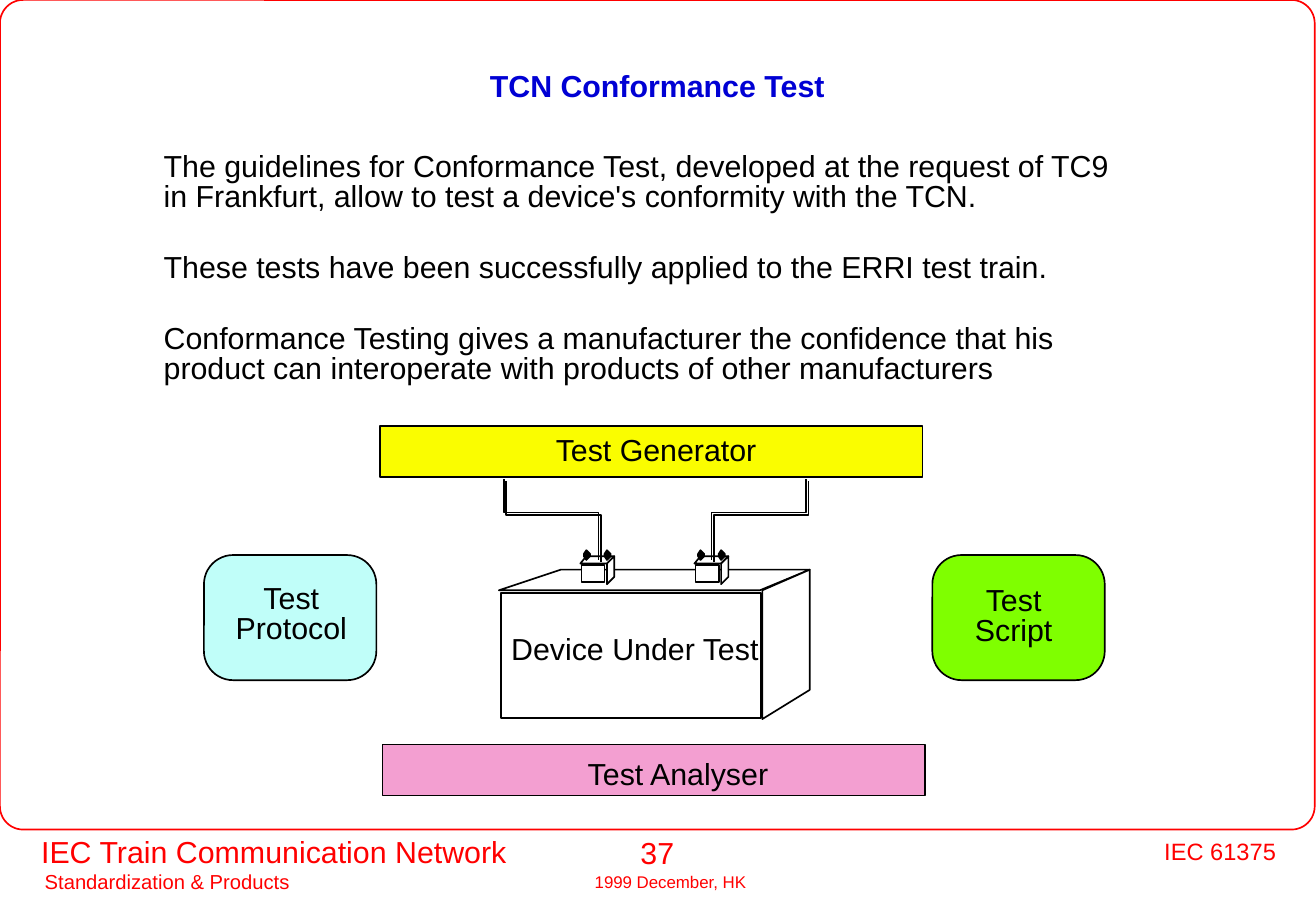
from dataclasses import dataclass

from pptx import Presentation
from pptx.dml.color import RGBColor
from pptx.enum.shapes import MSO_SHAPE as Preset
from pptx.enum.text import MSO_ANCHOR as Anchor, PP_ALIGN as Align
from pptx.util import Inches, Pt


@dataclass(frozen=True)
class Theme:
    font: str = "Arial"
    black: str = "000000"
    white: str = "FFFFFF"
    red: str = "FF0000"
    blue: str = "0000D4"
    cyan: str = "C0FEF9"
    green: str = "7FFF00"
    yellow: str = "FAFD00"
    pink: str = "F39FD1"
    body: int = 18
    reference: int = 14
    small: int = 12
    date: int = 10


theme = Theme()
CELL = Inches(0.01)  # all places below are columns and rows of this grid
COLUMNS, ROWS = 1084, 750

presentation = Presentation()
presentation.slide_width = COLUMNS * CELL
presentation.slide_height = ROWS * CELL
slide = presentation.slides.add_slide(presentation.slide_layouts[6])
shapes = slide.shapes


def paint(shape, fill=None, line=theme.black):
    """Give a shape a flat fill (or none) and a thin outline."""
    shape.shadow.inherit = False
    if fill:
        shape.fill.solid()
        shape.fill.fore_color.rgb = RGBColor.from_string(fill)
    else:
        shape.fill.background()
    shape.line.color.rgb = RGBColor.from_string(line)
    shape.line.width = Pt(1)


def write(shape, paragraphs, color=theme.black, size=theme.body, align=Align.LEFT,
          bold=False, wrap=True, anchor=Anchor.TOP, spacing=None, gap=0):
    """Fill a shape with paragraphs in one style."""
    frame = shape.text_frame
    frame.text = "\n".join(paragraphs)
    frame.word_wrap = wrap
    frame.vertical_anchor = anchor
    for index, paragraph in enumerate(frame.paragraphs):
        paragraph.alignment = align
        if spacing:
            paragraph.line_spacing = spacing
        if index and gap:
            paragraph.space_before = Pt(gap)
        for run in paragraph.runs:
            run.font.name = theme.font
            run.font.size = Pt(size)
            run.font.bold = bold
            run.font.color.rgb = RGBColor.from_string(color)


# Frame and footer
frame_shape = shapes.add_shape(Preset.ROUNDED_RECTANGLE, 0, 0, 1083 * CELL, 683 * CELL)
frame_shape.adjustments[0] = 0.028
paint(frame_shape, line=theme.red)

footer = [
    ("Standardization & Products", 27, 711, 222, 30, theme.small, Align.LEFT),
    ("IEC Train Communication Network", 24, 681, 405, 40, theme.body, Align.LEFT),
    ("IEC 61375", 949, 684, 112, 33, theme.reference, Align.RIGHT),
    ("1999 December, HK", 480, 713, 145, 26, theme.date, Align.LEFT),
    ("37", 508, 682, 67, 40, theme.body, Align.CENTER),
]
for words, left, top, width, height, size, align in footer:
    box = shapes.add_textbox(left * CELL, top * CELL, width * CELL, height * CELL)
    write(box, [words], theme.red, size, align, wrap=False)

# Title and body
title = shapes.add_textbox(18 * CELL, 44 * CELL, 1047 * CELL, 56 * CELL)
write(title, ["TCN Conformance Test"], theme.blue, align=Align.CENTER, bold=True,
      anchor=Anchor.MIDDLE, spacing=0.9)

body = shapes.add_textbox(125 * CELL, 121 * CELL, 840 * CELL, 203 * CELL)
write(body, [
    "The guidelines for Conformance Test, developed at the request of TC9\v"
    "in Frankfurt, allow to test a device's conformity with the TCN.",
    "These tests have been successfully applied to the ERRI test train.",
    "Conformance Testing gives a manufacturer the confidence that his\v"
    "product can interoperate with products of other manufacturers",
], spacing=Pt(18), gap=24)

# Outlines of the device, its two sockets with plugs, and the cables
device_top = [(411, 486), (462, 469), (667, 469), (626, 486)]
device_side = [(628, 486), (667, 469), (667, 568), (628, 592)]
socket_top = [(478, 464), (483, 458), (506, 458), (500, 464)]
socket_side = [(500, 464), (506, 458), (506, 475), (500, 481)]
socket_front = [(479, 465), (498, 465), (498, 479), (479, 479)]
plug = [(481, 458), (483, 461), (486, 458), (486, 456), (483, 453), (481, 456)]
cable = [(0, 461), (0, 422), (78, 422), (78, 394)]

outlines = [(device_top, theme.white, True)]
for shift in (0, 94):
    parts = [(socket_front, 0, theme.white), (socket_top, 0, theme.white),
             (socket_side, 0, theme.white), (plug, 0, theme.black), (plug, 17, theme.black)]
    for points, step, fill in parts:
        outlines.append(([(x + shift + step, y) for x, y in points], fill, True))
outlines.append((device_side, theme.white, True))
for foot, direction in ((493, -1), (586, 1)):
    for offset in (0, 2):
        points = [(foot + direction * x + offset, y + offset) for x, y in cable]
        outlines.append((points, None, False))

for points, fill, closed in outlines:
    builder = shapes.build_freeform(*points[0], scale=CELL)
    builder.add_line_segments(points[1:], close=closed)
    paint(builder.convert_to_shape(), fill)

# Labelled blocks; the last two numbers shift the label right and down
blocks = [
    ("Test\vProtocol", Preset.ROUNDED_RECTANGLE, 168, 457, 142, 103, theme.cyan, 1, -2),
    ("Test\vScript", Preset.ROUNDED_RECTANGLE, 768, 457, 142, 103, theme.green, -4, 0),
    ("Test Generator", Preset.RECTANGLE, 313, 351, 447, 42, theme.yellow, 4, -2),
    ("Device Under Test", Preset.RECTANGLE, 413, 488, 214, 103, theme.white, 3, -6),
    ("Test Analyser", Preset.RECTANGLE, 315, 613, 447, 42, theme.pink, 20, 3),
]
for words, preset, left, top, width, height, fill, right, down in blocks:
    block = shapes.add_shape(preset, left * CELL, top * CELL, width * CELL, height * CELL)
    if preset == Preset.ROUNDED_RECTANGLE:
        block.adjustments[0] = 0.233
    paint(block, fill)
    text_frame = block.text_frame
    text_frame.margin_left = max(0, 2 * right) * CELL
    text_frame.margin_right = max(0, -2 * right) * CELL
    text_frame.margin_top = max(0, 2 * down) * CELL
    text_frame.margin_bottom = max(0, -2 * down) * CELL
    write(block, [words], align=Align.CENTER, anchor=Anchor.MIDDLE,
          spacing=Pt(18) if "\v" in words else None)

presentation.save("out.pptx")
